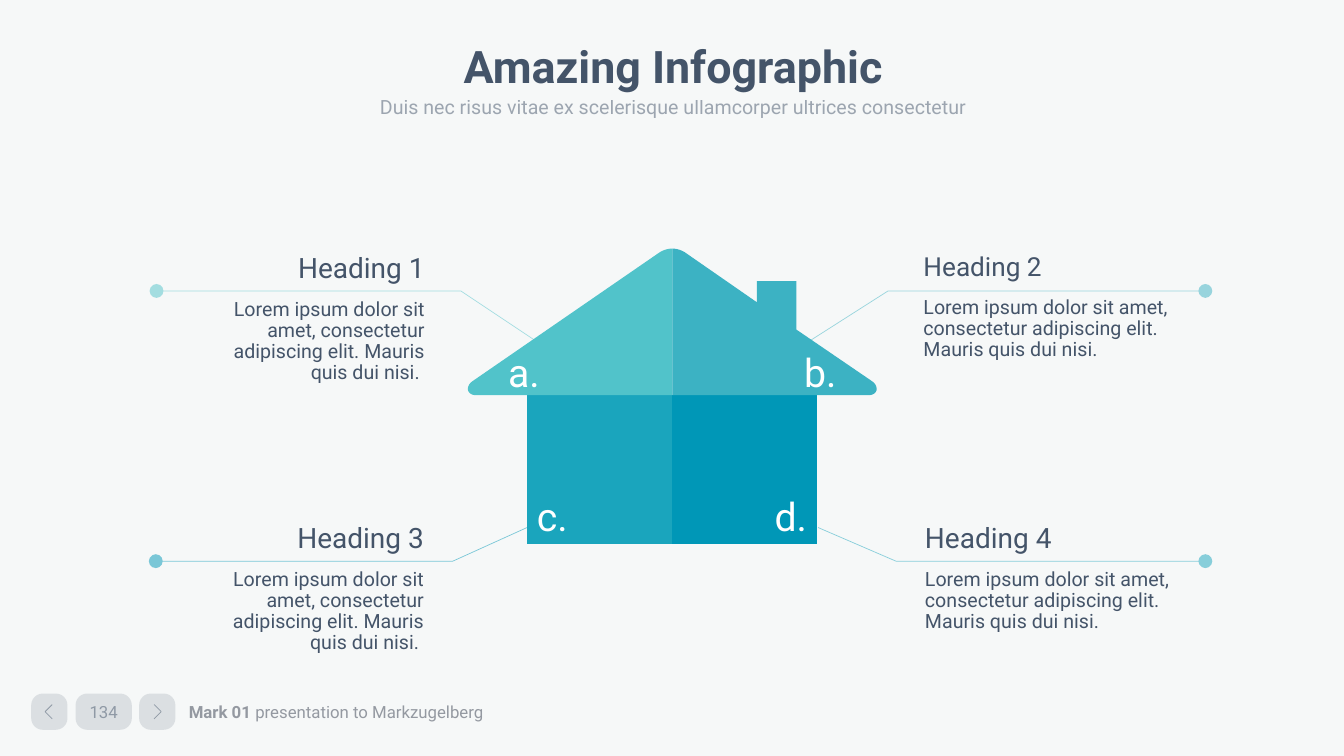
from dataclasses import dataclass

from lxml import etree
from pptx import Presentation
from pptx.dml.color import RGBColor
from pptx.enum.shapes import MSO_SHAPE
from pptx.enum.text import MSO_ANCHOR, PP_ALIGN
from pptx.oxml.ns import qn
from pptx.util import Pt

LEFT, CENTER, RIGHT = PP_ALIGN.LEFT, PP_ALIGN.CENTER, PP_ALIGN.RIGHT
TOP, MIDDLE, BOTTOM = MSO_ANCHOR.TOP, MSO_ANCHOR.MIDDLE, MSO_ANCHOR.BOTTOM
RECTANGLE, ROUNDED = MSO_SHAPE.RECTANGLE, MSO_SHAPE.ROUNDED_RECTANGLE
FONT, SLATE, GRAY, WHITE = "Roboto", "445469", "9499A1", "FFFFFF"
BODY = "Lorem ipsum dolor sit amet, consectetur adipiscing elit. Mauris quis dui nisi."

Point = tuple[float, float]
Insets = tuple[float, float, float, float]
DEFAULT_INSETS: Insets = (7.2, 3.6, 7.2, 3.6)
WIDE_INSETS: Insets = (9.6, 3.6, 9.6, 3.6)


@dataclass
class Span:
    text: str
    size: float
    color: str = SLATE
    bold: bool = False
    opacity: int = 100


@dataclass
class Line:
    spans: list[Span]
    align: PP_ALIGN = LEFT
    spacing: float = 1.0
    before: float = 0


@dataclass
class Callout:
    heading: Span
    body: str
    align: PP_ALIGN
    box: tuple[float, float, float, float]
    color: str
    leader: list[Point]


@dataclass
class Wall:
    label: str
    left: float
    width: float
    color: str
    align: PP_ALIGN


@dataclass
class Roof:
    label: str
    outline: list[Point]
    color: str
    align: PP_ALIGN
    insets: Insets


@dataclass
class Pill:
    left: float
    width: float
    label: str = ""


def rgb(color: str) -> RGBColor:
    return RGBColor.from_string(color)


def fade(element, opacity: int) -> None:
    if opacity < 100:
        for color in element.xpath(".//a:srgbClr"):
            etree.SubElement(color, qn("a:alpha")).set("val", str(opacity * 1000))


def write(shape, lines: list[Line], anchor=TOP, insets=DEFAULT_INSETS, wrap=True) -> None:
    frame = shape.text_frame
    frame.word_wrap = wrap
    frame.vertical_anchor = anchor
    frame.margin_left, frame.margin_top, frame.margin_right, frame.margin_bottom = map(Pt, insets)
    for index, line in enumerate(lines):
        para = frame.add_paragraph() if index else frame.paragraphs[0]
        para.alignment, para.line_spacing = line.align, line.spacing
        para.space_before = Pt(line.before)
        for span in line.spans:
            run = para.add_run()
            run.text = span.text
            run.font.name, run.font.size, run.font.bold = FONT, Pt(span.size), span.bold
            run.font.color.rgb = rgb(span.color)
            fade(run.font._element, span.opacity)


def add_text(page, box, lines: list[Line], anchor=TOP, insets=DEFAULT_INSETS) -> None:
    write(page.shapes.add_textbox(*map(Pt, box)), lines, anchor, insets)


def paint(shape, color: str, opacity: int = 100) -> None:
    shape.shadow.inherit = False
    shape.fill.solid()
    shape.fill.fore_color.rgb = rgb(color)
    shape.line.fill.background()
    fade(shape.element, opacity)


def add_outline(page, points: list[Point], closed: bool):
    first, *rest = [(Pt(x), Pt(y)) for x, y in points]
    builder = page.shapes.build_freeform(*first)
    builder.add_line_segments(rest, close=closed)
    return builder.convert_to_shape()


def add_stroke(page, points: list[Point], color: str, dot: bool = False) -> None:
    stroke = add_outline(page, points, closed=False)
    stroke.shadow.inherit = False
    stroke.fill.background()
    stroke.line.width = Pt(0.5)
    stroke.line.color.rgb = rgb(color)
    fade(stroke.element, 50)
    if dot:
        line = stroke.element.spPr.find(qn("a:ln"))
        end = etree.SubElement(line, qn("a:tailEnd"))
        for name, value in (("type", "oval"), ("w", "lg"), ("len", "lg")):
            end.set(name, value)


def curve(a: Point, b: Point, c: Point, d: Point, steps: int = 10) -> list[Point]:
    points = []
    for step in range(steps + 1):
        t = step / steps
        weights = ((1 - t) ** 3, 3 * t * (1 - t) ** 2, 3 * t * t * (1 - t), t ** 3)
        points.append(tuple(sum(w * p[axis] for w, p in zip(weights, (a, b, c, d)))
                            for axis in (0, 1)))
    return points


# House geometry: the right roof mirrors the left and gains a chimney
AXIS, EAVES = 480.2, 282.3
PEAK = curve((AXIS, 177.6), (477.4, 177.6), (474.5, 178.4), (471.6, 180))
EAVE = (curve((337.7, 272.2), (335.5, 273.6), (334.2, 275.8), (334.2, 277.9))
        + curve((334.2, 277.9), (334.2, 280.6), (337, EAVES), (339.8, EAVES)))
CHIMNEY = [(540.7, 216), (540.7, 200.8), (568.8, 200.8), (568.8, 235.4)]


def mirror(points: list[Point]) -> list[Point]:
    return [(2 * AXIS - x, y) for x, y in points]


WALLS = [Wall("c.", 376.5, 103.7, "1AA5BD", LEFT), Wall("d.", AXIS, 103.3, "0097B7", RIGHT)]
ROOFS = [
    Roof("a.", PEAK + EAVE + [(AXIS, EAVES)], "51C3CA", LEFT, (28.8, 0, 7.2, 0)),
    Roof("b.", mirror(PEAK) + CHIMNEY + mirror(EAVE) + [(AXIS, EAVES)], "3CB2C3", RIGHT,
         (7.2, 0, 28.8, 0)),
]
CALLOUTS = [
    Callout(Span("Heading 1", 20), BODY + " ", RIGHT, (133.7, 177.8, 179.3, 101.5),
            "51C3CA", [(383.5, 244), (329.2, 207.8), (111.8, 207.8)]),
    Callout(Span("Heading 2", 18.7), BODY, LEFT, (650, 177.8, 198, 84.2),
            "3CB2C3", [(577.6, 244), (634.4, 207.8), (861, 207.8)]),
    Callout(Span("Heading 3", 20), BODY + " ", RIGHT, (133.2, 370.9, 179.3, 101.5),
            "0097B7", [(376.5, 376.8), (323.5, 400.8), (111.3, 400.8)]),
    Callout(Span("Heading 4", 20), BODY, LEFT, (651.1, 370.9, 198, 85.7),
            "1AA5BD", [(584.4, 376.8), (640, 400.8), (861, 400.8)]),
]
PILLS = [Pill(22.3, 25.9), Pill(54, 40.2, "134"), Pill(99.4, 25.9)]


def main() -> None:
    deck = Presentation()
    deck.slide_width, deck.slide_height = Pt(960), Pt(540)
    page = deck.slides.add_slide(deck.slide_layouts[6])
    page.background.fill.solid()
    page.background.fill.fore_color.rgb = rgb("F6F8F8")

    # Footer
    footer = [Span("Mark 01 ", 12, GRAY, True), Span("presentation to Markzugelberg", 12, GRAY)]
    add_text(page, (125.3, 496.3, 264.2, 24.5), [Line(footer)], MIDDLE, (9.6, 4.8, 9.6, 4.8))
    for pill in PILLS:
        shape = page.shapes.add_shape(ROUNDED, *map(Pt, (pill.left, 495.4, pill.width, 25.9)))
        shape.adjustments[0] = 0.32
        paint(shape, SLATE, 15)
        if pill.label:
            write(shape, [Line([Span(pill.label, 12, opacity=50)], CENTER)], MIDDLE, wrap=False)
    for tip, back in ((32.2, 37.3), (115.2, 110.1)):
        add_stroke(page, [(back, 503.3), (tip, 508.4), (back, 513.5)], SLATE)

    # House
    for wall in WALLS:
        shape = page.shapes.add_shape(RECTANGLE, *map(Pt, (wall.left, EAVES, wall.width, 106.3)))
        paint(shape, wall.color)
        write(shape, [Line([Span(wall.label, 28, WHITE)], wall.align)], BOTTOM)
    for roof in ROOFS:
        shape = add_outline(page, roof.outline, closed=True)
        paint(shape, roof.color)
        write(shape, [Line([Span(roof.label, 28, WHITE)], roof.align)], BOTTOM, roof.insets)

    # Callouts
    for callout in CALLOUTS:
        add_stroke(page, callout.leader, callout.color, dot=True)
        add_text(page, callout.box, [
            Line([callout.heading], callout.align, 0.9),
            Line([Span(callout.body, 14)], callout.align, 0.9, 10.7),
        ], insets=WIDE_INSETS)

    # Title and subtitle
    add_text(page, (67, 28.8, 828, 40.3),
             [Line([Span("Amazing Infographic", 32, bold=True)], CENTER, 0.9)])
    subtitle = "Duis nec risus vitae ex scelerisque ullamcorper ultrices consectetur"
    add_text(page, (141.1, 61.2, 679.7, 30.2),
             [Line([Span(subtitle, 14, opacity=50)], CENTER, 1.2)])

    deck.save("out.pptx")


if __name__ == "__main__":
    main()
